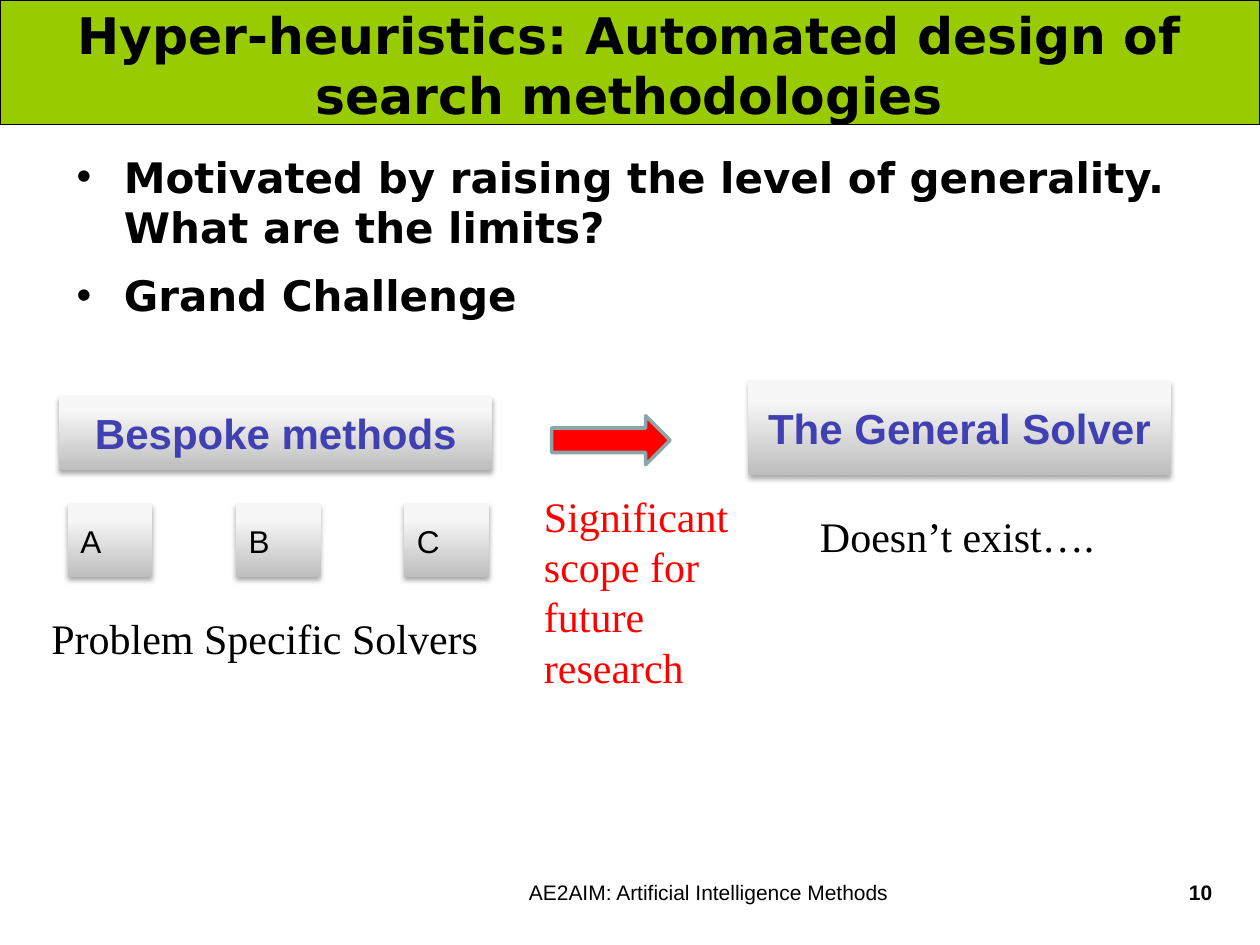
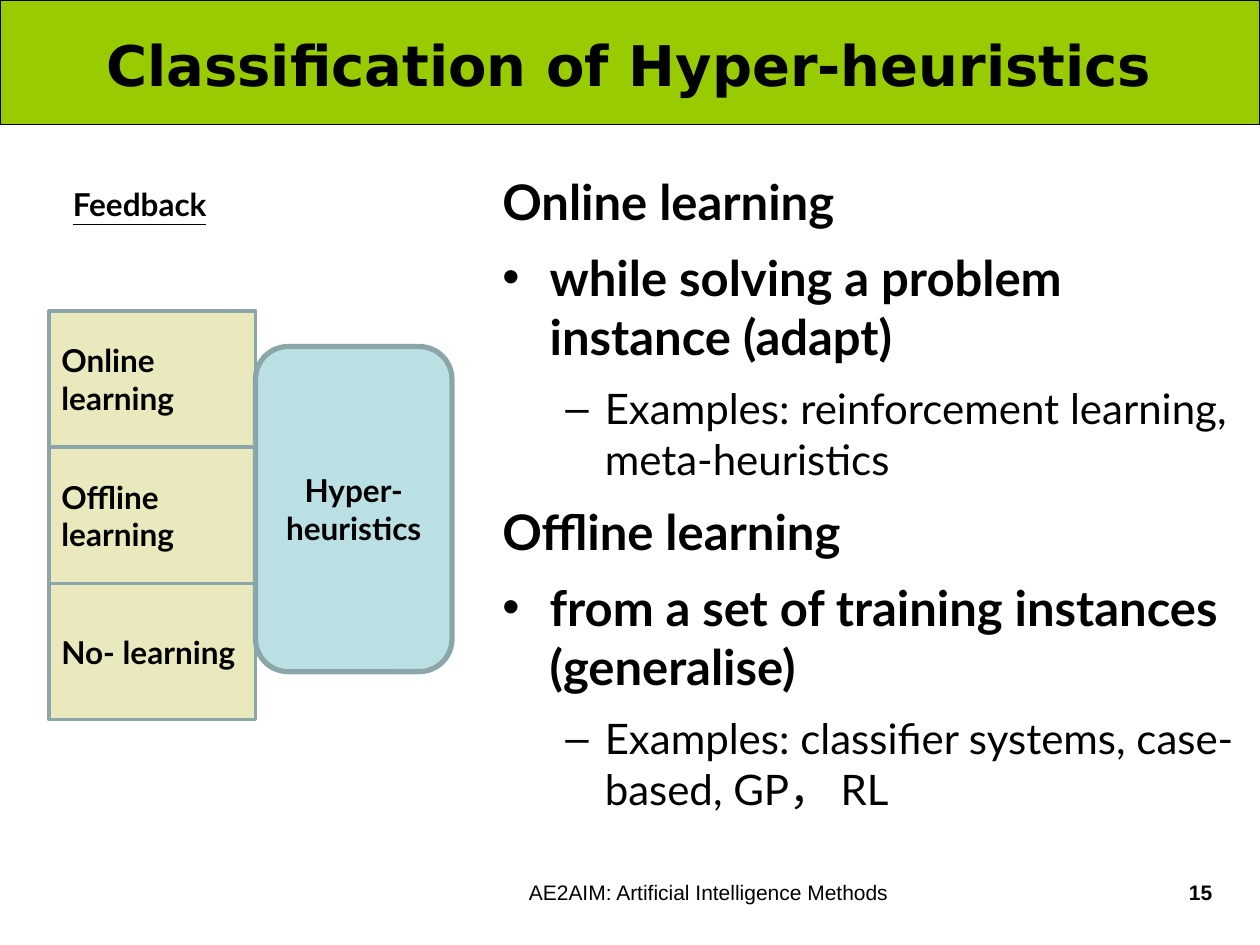
from lxml import etree
from pptx import Presentation
from pptx.dml.color import RGBColor
from pptx.enum.shapes import MSO_SHAPE
from pptx.enum.text import MSO_ANCHOR, PP_ALIGN
from pptx.oxml.ns import qn
from pptx.util import Pt

RECT, ROUNDED, ARROW = MSO_SHAPE.RECTANGLE, MSO_SHAPE.ROUNDED_RECTANGLE, MSO_SHAPE.RIGHT_ARROW
LEFT, CENTER, RIGHT = PP_ALIGN.LEFT, PP_ALIGN.CENTER, PP_ALIGN.RIGHT
TOP, MIDDLE = MSO_ANCHOR.TOP, MSO_ANCHOR.MIDDLE

COLORS = {
    "band": "99CC00", "text": "000000", "heading": "4040B3", "accent": "FF0000",
    "outline": "8AA6A8", "feedback": "EAE9BD", "core": "BBE0E3",
    "steel_dark": "BEBEBE", "steel_light": "F7F7F7", "steel_top": "F8F8F8",
}
STEEL_STOPS = ((0, "steel_dark"), (80, "steel_light"), (100, "steel_top"))

TITLE = {"name": "DejaVu Sans", "size": Pt(32), "bold": True}
LONG_TITLE = {**TITLE, "size": Pt(28.8)}
MOTIVE = {**TITLE, "size": Pt(24)}
FOOTER = {"name": "Arial", "size": Pt(12)}
PAGE_NUMBER = {**FOOTER, "bold": True}
PLATE_HEADING = {"name": "Arial", "size": Pt(24), "bold": True}
SOLVER_LETTER = {"name": "Arial", "size": Pt(18)}
CAPTION = {"name": "Times New Roman", "size": Pt(24)}
TOPIC = {"name": "Lato", "size": Pt(28), "bold": True}
EXAMPLE = {"name": "Lato", "size": Pt(24), "bold": False}
LABEL = {"name": "Lato", "size": Pt(18), "bold": True}

HEAD = {"font": TOPIC, "margin": 27, "hang": 27}
POINT = {**HEAD, "bullet": "•"}
DETAIL = {"font": EXAMPLE, "margin": 58.5, "hang": 22.5, "bullet": "–"}
MOTIVE_POINT = {**POINT, "font": MOTIVE}


def rgb(color):
    """Look up a palette colour."""
    return RGBColor.from_string(COLORS[color])


def style_font(font, values, color="text"):
    """Apply a dict of font values and a colour."""
    for attribute, value in values.items():
        setattr(font, attribute, value)
    font.color.rgb = rgb(color)


def place(box, x, y, w, h):
    """Turn offsets inside a box into slide lengths."""
    return Pt(box[0] + x), Pt(box[1] + y), Pt(w), Pt(h)


def write(target, text, font, color="text", align=LEFT, anchor=MIDDLE):
    """Put one styled paragraph into a shape."""
    frame = target.text_frame
    frame.word_wrap = True
    frame.vertical_anchor = anchor
    paragraph = frame.paragraphs[0]
    paragraph.text = text
    paragraph.alignment = align
    style_font(paragraph.runs[0].font, font, color)


def add_caption(slide, where, text, font, color="text", align=LEFT, anchor=TOP):
    """Add free-standing text."""
    write(slide.shapes.add_textbox(*where), text, font, color, align, anchor)


def add_block(slide, where, fill, line, width, kind=RECT):
    """Add a flat outlined shape."""
    block = slide.shapes.add_shape(kind, *where)
    block.shadow.inherit = False
    block.fill.solid()
    block.fill.fore_color.rgb = rgb(fill)
    block.line.color.rgb = rgb(line)
    block.line.width = Pt(width)
    return block


def add_plate(slide, where, text, font, color="text", align=LEFT):
    """Add a shaded steel plate with a soft shadow."""
    plate = slide.shapes.add_shape(RECT, *where)
    plate.shadow.inherit = False
    plate.line.fill.background()
    properties = plate.fill._xPr
    gradient = etree.Element(qn("a:gradFill"), rotWithShape="1")
    stops = etree.SubElement(gradient, qn("a:gsLst"))
    for position, shade in STEEL_STOPS:
        stop = etree.SubElement(stops, qn("a:gs"), pos=str(position * 1000))
        etree.SubElement(stop, qn("a:srgbClr"), val=COLORS[shade])
    etree.SubElement(gradient, qn("a:lin"), ang="16200000", scaled="0")
    properties.find(qn("a:prstGeom")).addnext(gradient)
    shadow = etree.SubElement(properties.find(qn("a:effectLst")), qn("a:outerShdw"),
                              blurRad=str(Pt(3.1)), dist=str(Pt(1.8)),
                              dir="5400000", rotWithShape="0")
    shade = etree.SubElement(shadow, qn("a:srgbClr"), val=COLORS["text"])
    etree.SubElement(shade, qn("a:alpha"), val="35000")
    write(plate, text, font, color, align)


def add_outline(slide, box, entries):
    """Write a list of headed and bulleted paragraphs."""
    frame = slide.shapes.add_textbox(*place(box, 0, 0, *box[2:])).text_frame
    frame.word_wrap = True
    for index, (style, text) in enumerate(entries):
        paragraph = frame.add_paragraph() if index else frame.paragraphs[0]
        paragraph.text = text
        if index:
            paragraph.space_before = Pt(10)
        properties = paragraph._p.get_or_add_pPr()
        properties.set("marL", str(Pt(style["margin"])))
        properties.set("indent", str(-Pt(style["hang"])))
        if "bullet" in style:
            etree.SubElement(properties, qn("a:buFont"), typeface="Arial")
            etree.SubElement(properties, qn("a:buChar"), char=style["bullet"])
        style_font(paragraph.runs[0].font, style["font"])


def add_frame(deck, title, number, title_font=TITLE):
    """Start a slide with its title band and footer."""
    slide = deck.slides.add_slide(deck.slide_layouts[6])
    page = (0, 0, 720, 540)
    add_block(slide, place(page, 0, 0, 720, 71.3), "band", "text", 0.75)
    add_caption(slide, place(page, 25.2, 1.4, 669, 70.6), title, title_font,
                align=CENTER, anchor=MIDDLE)
    add_caption(slide, place(page, 206.6, 499, 396.7, 37.4),
                "AE2AIM: Artificial Intelligence Methods", FOOTER, align=CENTER)
    add_caption(slide, place(page, 620.6, 499, 79.2, 37.4), number, PAGE_NUMBER, align=RIGHT)
    return slide


def add_bespoke_methods(slide, box):
    """Place the bespoke heading above its row of solvers."""
    add_plate(slide, place(box, 11.5, 0, 247.7, 42.5), "Bespoke methods",
              PLATE_HEADING, "heading", CENTER)
    for column, letter in enumerate("ABC"):
        add_plate(slide, place(box, 16.6 + column * 96.1, 62, 48.2, 41.8), letter, SOLVER_LETTER)
    add_caption(slide, place(box, 0, 120.3, 292.3, 36), "Problem Specific Solvers", CAPTION)


def add_research_step(slide, box):
    """Place the arrow between both kinds of method."""
    add_block(slide, place(box, 11.5, 0, 67.7, 28), "accent", "outline", 2, ARROW)
    add_caption(slide, place(box, 0, 38.9, 146.2, 123.8),
                "Significant scope for future research", CAPTION, "accent")


def add_general_solver(slide, box):
    """Place the general solver and its remark."""
    add_plate(slide, place(box, 0, 0, 241.2, 54), "The General Solver",
              PLATE_HEADING, "heading", CENTER)
    add_caption(slide, place(box, 33.8, 70.6, 216, 36), "Doesn’t exist….", CAPTION)


def add_feedback_diagram(slide, box):
    """Stack the feedback kinds beside the hyper-heuristics block."""
    feedback = {**LABEL, "underline": True}
    add_caption(slide, place(box, 6.5, 0, 118, 28.8), "Feedback", feedback)
    kinds = ("Online learning", "Offline learning", "No- learning")
    for row, kind in enumerate(kinds):
        cell = add_block(slide, place(box, 0, 75.6 + row * 77.8, 118, 77.8),
                         "feedback", "outline", 2)
        write(cell, kind, LABEL)
    core = add_block(slide, place(box, 118, 95.8, 112.3, 185.8), "core", "outline", 3, ROUNDED)
    write(core, "Hyper-heuristics", LABEL, align=CENTER)


def build_challenge(deck):
    """Build the slide on the grand challenge."""
    slide = add_frame(deck, "Hyper-heuristics: Automated design of search methodologies",
                      "10", LONG_TITLE)
    add_outline(slide, (36.7, 82.8, 648, 402.5), (
        (MOTIVE_POINT, "Motivated by raising the level of generality. What are the limits?"),
        (MOTIVE_POINT, "Grand Challenge"),
    ))
    add_bespoke_methods(slide, (22.3, 226, 292, 156))
    add_research_step(slide, (303.8, 237.6, 146, 163))
    add_general_solver(slide, (427.7, 217.4, 250, 107))


def build_classification(deck):
    """Build the slide on kinds of learning."""
    slide = add_frame(deck, "Classification of Hyper-heuristics", "15")
    add_outline(slide, (280, 94.3, 432, 347), (
        (HEAD, "Online learning"),
        (POINT, "while solving a problem instance (adapt)"),
        (DETAIL, "Examples: reinforcement learning, meta-heuristics"),
        (HEAD, "Offline learning"),
        (POINT, "from a set of training instances (generalise)"),
        (DETAIL, "Examples: classifier systems, case-based, GP， RL"),
    ))
    add_feedback_diagram(slide, (28, 102.2, 231, 309))


def main():
    """Build and save the deck."""
    deck = Presentation()
    deck.slide_width, deck.slide_height = Pt(720), Pt(540)
    build_challenge(deck)
    build_classification(deck)
    deck.save("out.pptx")


if __name__ == "__main__":
    main()
